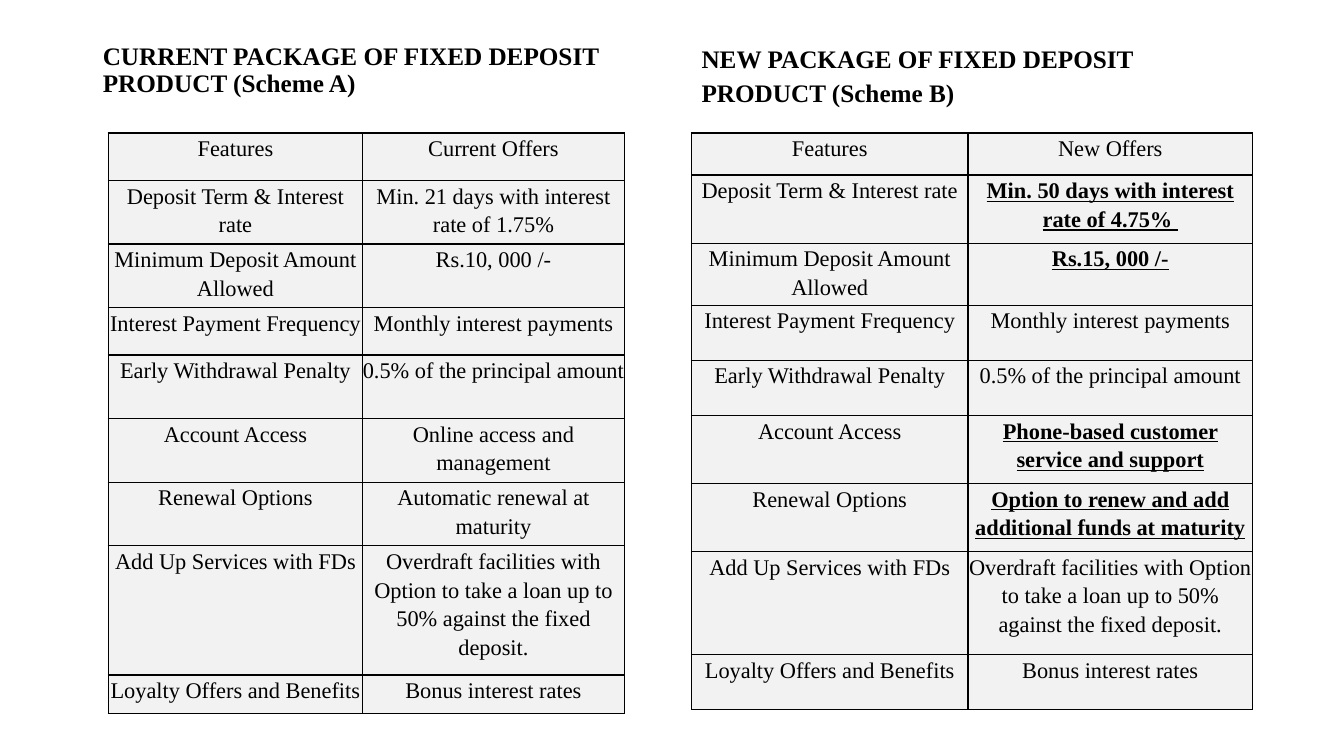
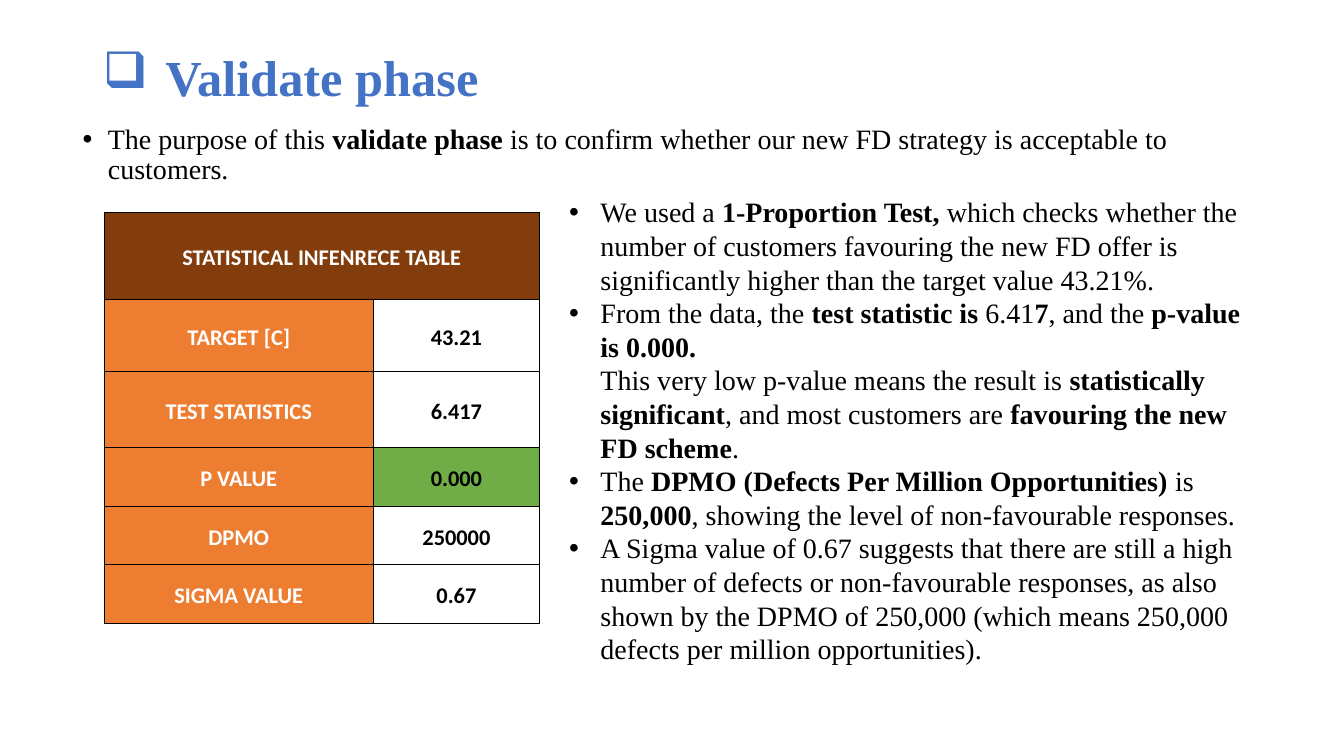
from lxml import etree
from pptx import Presentation
from pptx.dml.color import RGBColor
from pptx.enum.text import MSO_ANCHOR, MSO_AUTO_SIZE, PP_ALIGN
from pptx.oxml.ns import qn
from pptx.util import Inches, Pt

LEFT, CENTER = PP_ALIGN.LEFT, PP_ALIGN.CENTER
TOP, MIDDLE = MSO_ANCHOR.TOP, MSO_ANCHOR.MIDDLE
FIXED = MSO_AUTO_SIZE.NONE

BLACK = RGBColor(0x00, 0x00, 0x00)
WHITE = RGBColor(0xFF, 0xFF, 0xFF)
GREY = RGBColor(0xF2, 0xF2, 0xF2)
BLUE = RGBColor(0x44, 0x72, 0xC4)
BROWN = RGBColor(0x83, 0x3C, 0x0C)
ORANGE = RGBColor(0xED, 0x7D, 0x31)
GREEN = RGBColor(0x70, 0xAD, 0x47)

SERIF, SANS = "Times New Roman", "Calibri"
WIDTH, HEIGHT = Inches(13.33), Inches(7.5)
MARK = "**"

FEATURES = [
    "Features",
    "Deposit Term & Interest rate",
    "Minimum Deposit Amount Allowed",
    "Interest Payment Frequency",
    "Early Withdrawal Penalty",
    "Account Access",
    "Renewal Options",
    "Add Up Services with FDs",
    "Loyalty Offers and Benefits",
]
LOAN = ("Overdraft facilities with Option to take a loan up to 50% "
        "against the fixed deposit.")
CURRENT = [
    "Current Offers",
    "Min. 21 days with interest rate of 1.75%",
    "Rs.10, 000 /-",
    "Monthly interest payments",
    "0.5% of the principal amount",
    "Online access and management",
    "Automatic renewal at maturity",
    LOAN,
    "Bonus interest rates",
]
RENEWED = [
    "New Offers",
    "**Min. 50 days with interest rate of 4.75% **",
    "**Rs.15, 000 /-**",
    "Monthly interest payments",
    "0.5% of the principal amount",
    "**Phone-based customer service and support**",
    "**Option to renew and add additional funds at maturity**",
    LOAN,
    "Bonus interest rates",
]
STATS = [
    ("STATISTICAL INFENRECE TABLE",),
    ("TARGET [C]", "43.21"),
    ("TEST STATISTICS", "6.417"),
    ("P VALUE", "0.000"),
    ("DPMO", "250000"),
    ("SIGMA VALUE", "0.67"),
]
PURPOSE = ("The purpose of this **validate phase** is to confirm whether our "
           "new FD strategy is acceptable to customers.")
FINDINGS = [
    "We used a **1-Proportion Test,** which checks whether the number of "
    "customers favouring the new FD offer is significantly higher than the "
    "target value 43.21%.",
    "From the data, the **test statistic is **6.41**7**, and the **p-value "
    "is 0.000.**\nThis very low p-value means the result is **statistically "
    "significant**, and most customers are **favouring the new FD scheme**.",
    "The **DPMO (Defects Per Million Opportunities)** is **250,000**, "
    "showing the level of non-favourable responses.",
    "A Sigma value of 0.67 suggests that there are still a high number of "
    "defects or non-favourable responses, as also shown by the DPMO of "
    "250,000 (which means 250,000 defects per million opportunities).",
]


def area(left, top, wide, high):
    """Turn percentages of the slide into a box."""
    return (int(WIDTH * left / 100), int(HEIGHT * top / 100),
            int(WIDTH * wide / 100), int(HEIGHT * high / 100))


def bullet(para, char, indent):
    """Set the hanging indent and bullet of a paragraph."""
    props = para._p.get_or_add_pPr()
    props.set("marL", str(Inches(indent)))
    props.set("indent", str(-Inches(indent)))
    tag = "a:buChar" if char else "a:buNone"
    node = etree.SubElement(props, qn(tag))
    if char:
        node.set("char", char)


def write(frame, texts, size=20, font=SERIF, color=BLACK, bold=False,
          under=False, align=LEFT, space=1.0, before=0, after=0,
          char=None, indent=0):
    """Fill a frame with paragraphs whose marked parts are bold."""
    for i, text in enumerate(texts):
        para = frame.paragraphs[0] if i == 0 else frame.add_paragraph()
        para.alignment, para.line_spacing = align, space
        para.space_before, para.space_after = Pt(before), Pt(after)
        bullet(para, char, indent)
        for j, part in enumerate(text.split(MARK)):
            strong = j % 2 == 1
            for k, line in enumerate(part.split("\n")):
                if k:
                    para.add_line_break()
                if not line:
                    continue
                run = para.add_run()
                run.text = line
                run.font.size, run.font.name = Pt(size), font
                run.font.color.rgb = color
                run.font.bold = bold or strong
                run.font.underline = under and strong


def place(holder, box, texts, anchor=TOP, **style):
    """Move a placeholder to a box and write in it."""
    holder.left, holder.top, holder.width, holder.height = box
    frame = holder.text_frame
    frame.word_wrap, frame.auto_size = True, FIXED
    frame.vertical_anchor = anchor
    write(frame, texts, **style)


def border(cell):
    """Draw a thin black line on each side of a cell."""
    props = cell._tc.get_or_add_tcPr()
    for i, side in enumerate(("lnL", "lnR", "lnT", "lnB")):
        line = etree.Element(qn(f"a:{side}"), w=str(Pt(1)))
        fill = etree.SubElement(line, qn("a:solidFill"))
        etree.SubElement(fill, qn("a:srgbClr"), val=str(BLACK))
        props.insert(i, line)


def grid(slide, box, rows, wides, highs, look, pad=0, anchor=TOP, **style):
    """Add a table whose look function gives each cell its colours."""
    table = slide.shapes.add_table(len(rows), len(wides), *box).table
    table.first_row = table.horz_banding = False
    for col, share in zip(table.columns, wides):
        col.width = int(box[2] * share / sum(wides))
    for row, share in zip(table.rows, highs):
        row.height = int(box[3] * share / sum(highs))
    for r, row in enumerate(rows):
        if len(row) < len(wides):
            table.cell(r, 0).merge(table.cell(r, len(wides) - 1))
        for c in range(len(wides)):
            cell = table.cell(r, c)
            back, fore = look(r, c)
            cell.fill.solid()
            cell.fill.fore_color.rgb = back
            border(cell)
            cell.margin_left = cell.margin_right = Inches(pad)
            cell.margin_top = cell.margin_bottom = 0
            cell.vertical_anchor = anchor
            if c < len(row):
                write(cell.text_frame, [row[c]], size=16, color=fore,
                      align=CENTER, space=1.15, after=8, **style)


def plain(row, col):
    """Give the colours of an offer cell."""
    return GREY, BLACK


def tint(row, col):
    """Give the colours of a statistics cell."""
    if row == 0:
        return BROWN, WHITE
    if col == 0:
        return ORANGE, WHITE
    return (GREEN if STATS[row][0] == "P VALUE" else WHITE), BLACK


def scheme(slide, holder, head, title, box, offers, wides, highs, **style):
    """Place one scheme: its heading and its table of offers."""
    place(holder, head, [title], size=18, bold=True, **style)
    grid(slide, box, list(zip(FEATURES, offers)), wides, highs, plain,
         under=True)


def compare(deck):
    """Build the slide that sets both schemes side by side."""
    slide = deck.slides.add_slide(deck.slide_layouts[4])
    spots = {s.placeholder_format.idx: s for s in slide.placeholders}
    for idx in (0, 2, 4):
        node = spots[idx]._element
        node.getparent().remove(node)
    scheme(slide, spots[1], area(6.9, 5.1, 42.5, 12),
           "CURRENT PACKAGE OF FIXED DEPOSIT PRODUCT (Scheme A)",
           area(8.05, 17.6, 38.4, 76.8), CURRENT, (2.52, 2.59),
           (0.47, 0.63, 0.63, 0.47, 0.63, 0.63, 0.63, 1.28, 0.38),
           space=0.9, before=10)
    scheme(slide, spots[3], area(51.45, 4.4, 40.8, 12),
           "NEW PACKAGE OF FIXED DEPOSIT PRODUCT (Scheme B)",
           area(51.45, 17.6, 41.75, 76.3), RENEWED, (2.74, 2.82),
           (0.42, 0.68, 0.62, 0.55, 0.55, 0.68, 0.68, 1.03, 0.55),
           space=1.15, after=8)


def validate(deck):
    """Build the slide with the test results."""
    slide = deck.slides.add_slide(deck.slide_layouts[3])
    title, intro, notes = slide.placeholders
    place(title, area(6.9, 5.3, 86.3, 10.5), ["Validate phase"],
          anchor=MIDDLE, size=36, color=BLUE, bold=True, space=0.9,
          char="❑", indent=0.62)
    place(intro, area(5.4, 15.9, 91.4, 7.6), [PURPOSE], space=0.9,
          before=10, char="•", indent=0.25)
    grid(slide, area(7.75, 28.1, 32.4, 54.4), STATS, (2.67, 1.65),
         (0.86, 0.71, 0.75, 0.58, 0.58, 0.58), tint, pad=0.07,
         anchor=MIDDLE, font=SANS, bold=True)
    place(notes, area(41.6, 25.1, 52.8, 68.3), FINDINGS, char="•",
          indent=0.31)


def main():
    """Build and save the deck."""
    deck = Presentation()
    deck.slide_width, deck.slide_height = WIDTH, HEIGHT
    compare(deck)
    validate(deck)
    deck.save("out.pptx")


if __name__ == "__main__":
    main()
